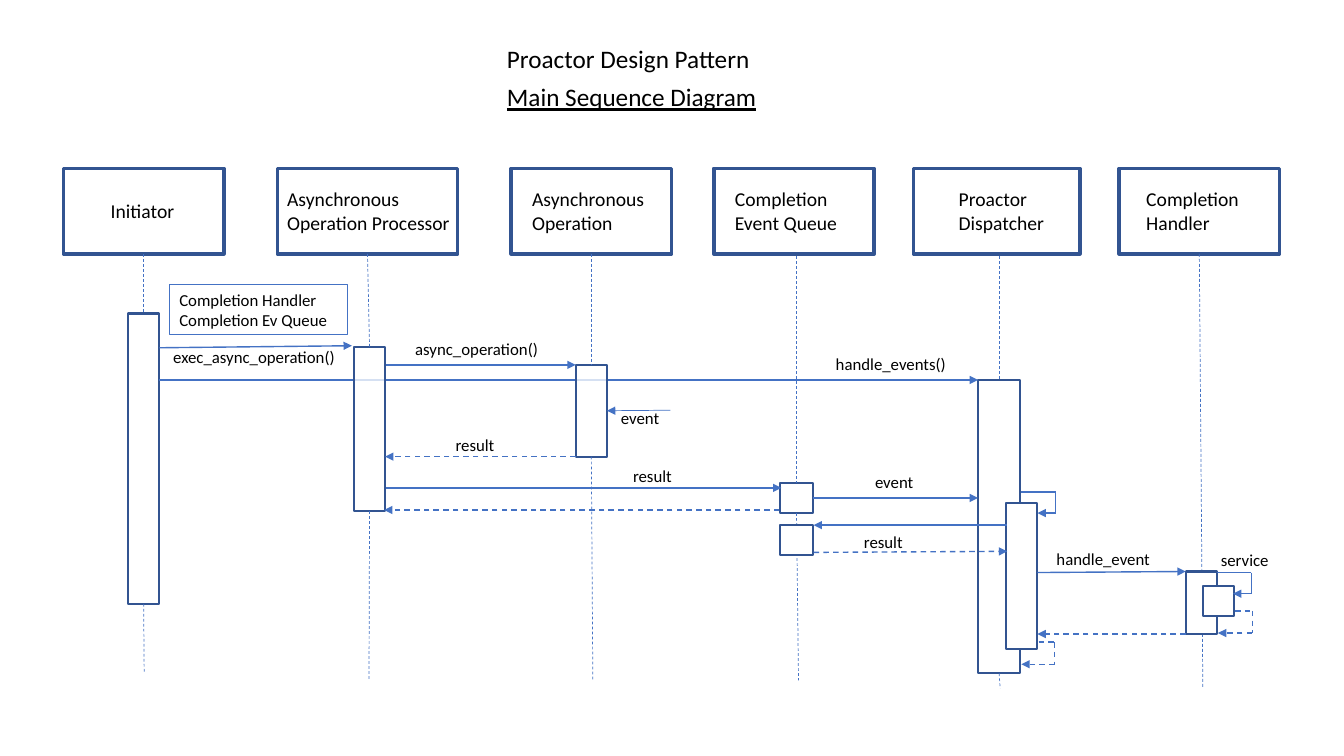
from lxml import etree
from pptx import Presentation
from pptx import util as u
from pptx.dml.color import RGBColor
from pptx.enum import dml, shapes, text
from pptx.oxml.ns import qn

PX = 9144
TOP, LEFT, BOTTOM, RIGHT = range(4)


def color(value):
    return RGBColor.from_string(value)


class Diagram:
    font = "Calibri"
    ink = "000000"
    paper = "FFFFFF"
    border = "325491"
    accent = "4472C4"

    def __init__(self, slide):
        self.slide = slide

    def put_text(self, shape, words, size, underline=False):
        frame = shape.text_frame
        frame.word_wrap = True
        frame.text = words
        for paragraph in frame.paragraphs:
            paragraph.alignment = text.PP_ALIGN.LEFT
            for run in paragraph.runs:
                run.font.name = self.font
                run.font.size = u.Pt(size)
                run.font.color.rgb = color(self.ink)
                run.font.underline = underline

    def label(self, x, y, w, h, words, size=12, underline=False):
        box = self.slide.shapes.add_textbox(x * PX, y * PX, w * PX, h * PX)
        self.put_text(box, words, size, underline)

    def rect(self, x, y, w, h, weight=1.5, line=border, filled=False, alpha=None):
        box = self.slide.shapes.add_shape(
            shapes.MSO_SHAPE.RECTANGLE, x * PX, y * PX, w * PX, h * PX)
        box.shadow.inherit = False
        box.line.color.rgb = color(line)
        box.line.width = u.Pt(weight)
        if filled:
            box.fill.solid()
            box.fill.fore_color.rgb = color(self.paper)
        else:
            box.fill.background()
        if alpha:
            tint = box._element.spPr.find(qn("a:solidFill"))[0]
            etree.SubElement(tint, qn("a:alpha")).set("val", str(alpha * 1000))
        return box

    def line(self, x1, y1, x2, y2, weight=1, dashed=False, arrow=False,
             begin=None, end=None):
        link = self.slide.shapes.add_connector(
            shapes.MSO_CONNECTOR.STRAIGHT, x1 * PX, y1 * PX, x2 * PX, y2 * PX)
        if begin:
            link.begin_connect(*begin)
        if end:
            link.end_connect(*end)
        link.line.color.rgb = color(self.accent)
        link.line.width = u.Pt(weight)
        if dashed:
            link.line.dash_style = dml.MSO_LINE.DASH
        properties = link._element.spPr
        if arrow:
            outline = properties.find(qn("a:ln"))
            etree.SubElement(outline, qn("a:tailEnd")).set("type", "triangle")
        etree.SubElement(properties, qn("a:effectLst"))

    def lifeline(self, x1, y1, x2, y2, begin=None, end=None):
        self.line(x1, y1, x2, y2, 0.5, True, begin=begin, end=end)

    def message(self, x1, y1, x2, y2, dashed=False, weight=1, begin=None, end=None):
        self.line(x1, y1, x2, y2, weight, dashed, True, begin, end)

    def self_call(self, start, right, top, bottom, end, dashed=False):
        self.line(start, top, right, top, dashed=dashed)
        self.line(right, top, right, bottom, dashed=dashed)
        self.message(right, bottom, end, bottom, dashed)


def main():
    deck = Presentation()
    deck.slide_width, deck.slide_height = u.Inches(13.33), u.Inches(7.5)
    d = Diagram(deck.slides.add_slide(deck.slide_layouts[6]))

    d.label(493, 38, 458, 40, "Proactor Design Pattern", 18)
    d.label(493, 76, 310, 40, "Main Sequence Diagram", 18, True)

    participants = [
        (63, 159, 100, 192, 84, 34, "Initiator"),
        (275, 179, 275, 181, 183, 57, "Asynchronous Operation Processor"),
        (507, 159, 518, 181, 137, 57, "Asynchronous\nOperation"),
        (708, 159, 719, 181, 126, 57, "Completion\nEvent Queue"),
        (906, 165, 941, 181, 115, 57, "Proactor\nDispatcher"),
        (1110, 159, 1127, 181, 118, 57, "Completion\nHandler"),
    ]
    heads = []
    for x, w, label_x, label_y, label_w, label_h, name in participants:
        heads.append(d.rect(x, 167, w, 85, 2.5))
        d.label(label_x, label_y, label_w, label_h, name, 14)
    initiator, processor, operation, queue, dispatcher, handler = heads

    initiating = d.rect(127, 311, 31, 288)
    dispatching = d.rect(970, 377, 42, 291)
    d.message(158, 377, 970, 377)
    processing = d.rect(351, 344, 31, 163, filled=True, alpha=78)
    operating = d.rect(571, 362, 31, 91, filled=True, alpha=78)
    queueing = d.rect(774, 479, 32, 30)

    d.lifeline(143, 252, 143, 311, (initiator, BOTTOM), (initiating, TOP))
    d.lifeline(143, 599, 143, 668, (initiating, BOTTOM))
    d.lifeline(364, 252, 366, 344, (processor, BOTTOM), (processing, TOP))
    d.lifeline(366, 507, 366, 675, (processing, BOTTOM))
    d.lifeline(586, 252, 586, 362, (operation, BOTTOM), (operating, TOP))
    d.lifeline(586, 453, 588, 675, (operating, BOTTOM))
    d.lifeline(790, 254, 790, 479, end=(queueing, TOP))
    d.lifeline(790, 509, 792, 675, (queueing, BOTTOM))
    d.lifeline(991, 254, 991, 377, end=(dispatching, TOP))
    d.lifeline(991, 668, 992, 683, (dispatching, BOTTOM))
    d.lifeline(1190, 252, 1193, 683, (handler, BOTTOM))

    d.rect(774, 521, 32, 30, filled=True)
    d.rect(998, 499, 31, 145, filled=True)
    d.rect(1176, 567, 31, 62, filled=True)
    d.rect(1193, 581, 31, 30, filled=True)

    note = d.rect(168, 282, 177, 50, 0.75, d.accent)
    d.put_text(note, "Completion Handler\nCompletion Ev Queue", 12)

    d.message(158, 345, 349, 343)
    d.message(383, 362, 571, 362)
    d.message(665, 407, 601, 407, weight=0.5, end=(operating, RIGHT))
    d.message(571, 453, 382, 453, True)
    d.message(383, 484, 775, 484)
    d.message(773, 506, 381, 506, True)
    d.message(807, 494, 970, 494, begin=(queueing, RIGHT))
    d.message(999, 521, 807, 521)
    d.message(807, 548, 999, 547, True)
    d.message(1029, 568, 1176, 567)
    d.message(1176, 629, 1029, 629, True)

    d.self_call(1013, 1047, 488, 509, 1029)
    d.self_call(1030, 1046, 637, 659, 1013, True)
    d.self_call(1207, 1241, 568, 589, 1223)
    d.self_call(1225, 1242, 606, 628, 1208, True)

    for x, y, w, name in [
        (162, 339, 186, "exec_async_operation()"),
        (402, 331, 186, "async_operation()"),
        (819, 346, 131, "handle_events()"),
        (606, 400, 87, "event"),
        (442, 426, 79, "result"),
        (618, 457, 79, "result"),
        (858, 463, 79, "event"),
        (847, 523, 79, "result"),
        (1038, 539, 118, "handle_event"),
        (1201, 540, 79, "service"),
    ]:
        d.label(x, y, w, 30, name)

    deck.save("out.pptx")


if __name__ == "__main__":
    main()
